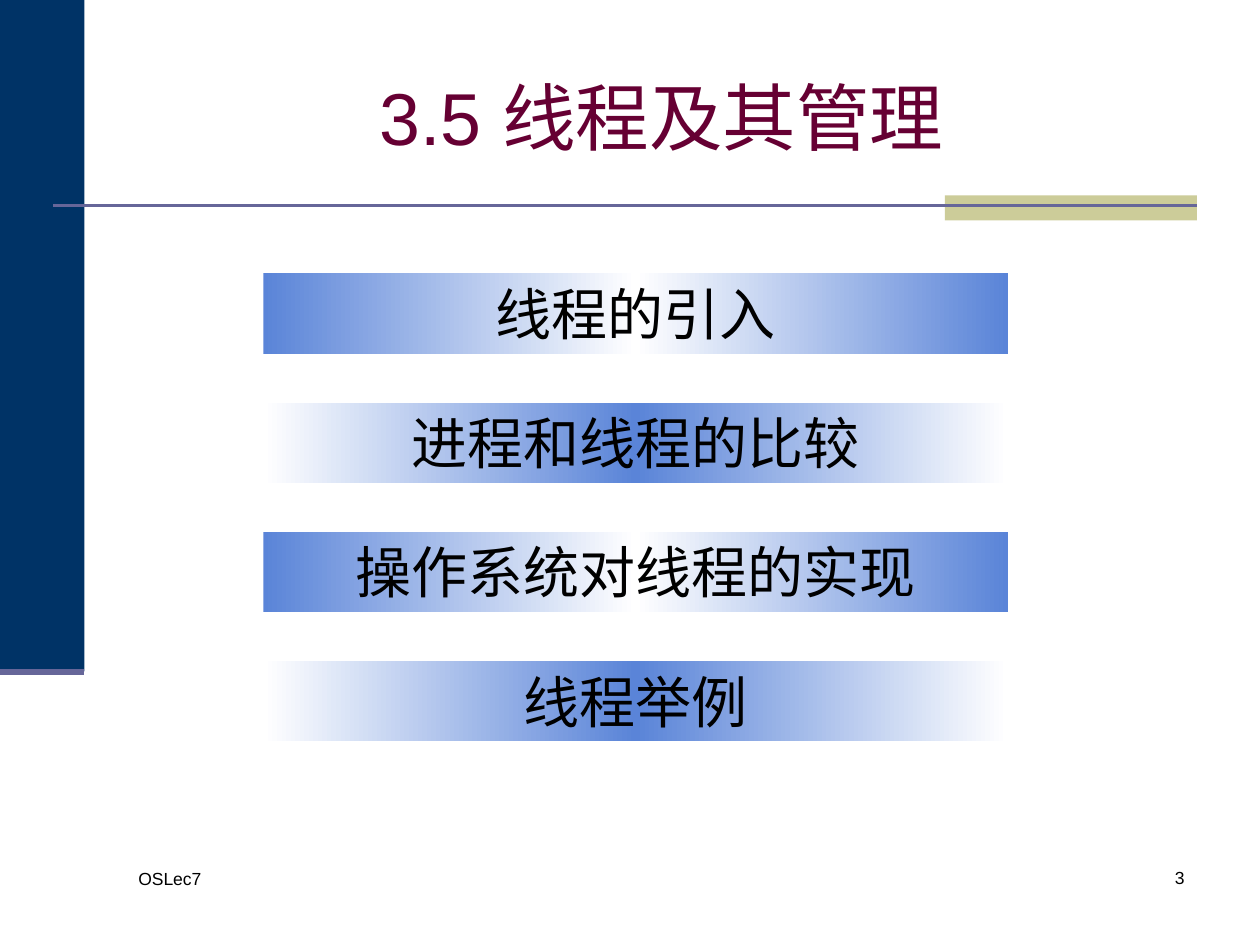
from copy import deepcopy
from pptx import Presentation
from pptx.dml.color import RGBColor
from pptx.enum.shapes import MSO_CONNECTOR as LINE, MSO_SHAPE as SHAPE
from pptx.enum.text import MSO_ANCHOR as ANCHOR, PP_ALIGN as ALIGN
from pptx.oxml.ns import qn
from pptx.util import Inches, Pt

NAVY, SAND, SLATE, WINE = "003366", "CCCC99", "666699", "660033"
BLUE, WHITE, BLACK = "5A84D8", "FFFFFF", "000000"

deck = Presentation()
deck.slide_width, deck.slide_height = Inches(10), Inches(7.5)
slide = deck.slides.add_slide(deck.slide_layouts[6])
shapes = slide.shapes


def rgb(code):
    return RGBColor.from_string(code)


def write(shape, text, size=10, color=BLACK, align=ALIGN.LEFT, anchor=ANCHOR.TOP):
    frame = shape.text_frame
    frame.word_wrap = True
    frame.vertical_anchor = anchor
    para = frame.paragraphs[0]
    para.alignment = align
    run = para.add_run()
    run.text = text
    run.font.name = "Arial"
    run.font.size = Pt(size)
    run.font.color.rgb = rgb(color)


# Side panel and accent block
for left, top, width, height, color in [
    (0, 0, 0.67, 5.33, NAVY),
    (7.5, 1.55, 2, 0.2, SAND),
]:
    block = shapes.add_shape(SHAPE.RECTANGLE, *map(Inches, (left, top, width, height)))
    block.shadow.inherit = False
    block.fill.solid()
    block.fill.fore_color.rgb = rgb(color)
    block.line.fill.background()

# Rule below the title and lower edge of the side panel
for start, end, level, weight in [(0.42, 9.5, 1.63, 1.5), (0, 0.67, 5.33, 3.5)]:
    rule = shapes.add_connector(LINE.STRAIGHT, *map(Inches, (start, level, end, level)))
    rule.line.color.rgb = rgb(SLATE)
    rule.line.width = Pt(weight)
    props = rule.element.spPr
    props.append(props.makeelement(qn("a:effectLst"), {}))

# Footer, page number and title
for text, place, style in [
    ("OSLec7", (1, 6.84, 2.17, 0.5), {}),
    ("3", (7.42, 6.83, 2.08, 0.5), {"align": ALIGN.RIGHT}),
    ("3.5 线程及其管理", (1, 0.3, 8.5, 1.25),
     {"size": 42, "color": WINE, "align": ALIGN.CENTER, "anchor": ANCHOR.MIDDLE}),
]:
    write(shapes.add_textbox(*map(Inches, place)), text, **style)

# Topic bars, with the gradient reversed on every second one
TOP, STEP = 2.17, 1.025
topics = ["线程的引入", "进程和线程的比较", "操作系统对线程的实现", "线程举例"]
for row, topic in enumerate(topics):
    bar = shapes.add_shape(SHAPE.RECTANGLE, Inches(2.09), Inches(TOP + row * STEP),
                           Inches(5.91), Inches(0.64))
    bar.shadow.inherit = False
    bar.line.fill.background()
    edge, core = (WHITE, BLUE) if row % 2 else (BLUE, WHITE)
    bar.fill.gradient()
    bar.fill.gradient_angle = 0
    stops = bar.element.spPr.find(qn("a:gradFill")).find(qn("a:gsLst"))
    stops.insert(1, deepcopy(stops[0]))
    for stop, color, share in zip(bar.fill.gradient_stops, (edge, core, edge), (0, 0.5, 1)):
        stop.color.rgb = rgb(color)
        stop.position = share
    write(bar, topic, size=32, align=ALIGN.CENTER)

deck.save("out.pptx")
